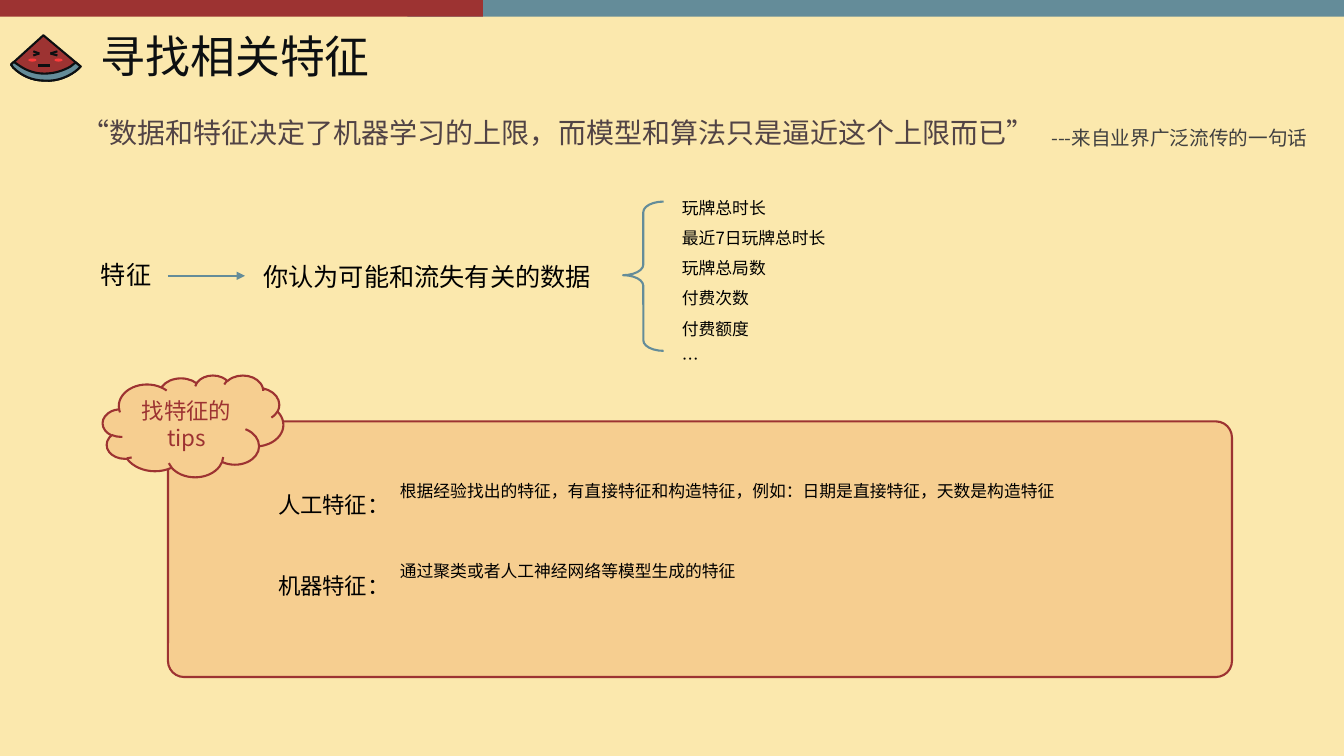
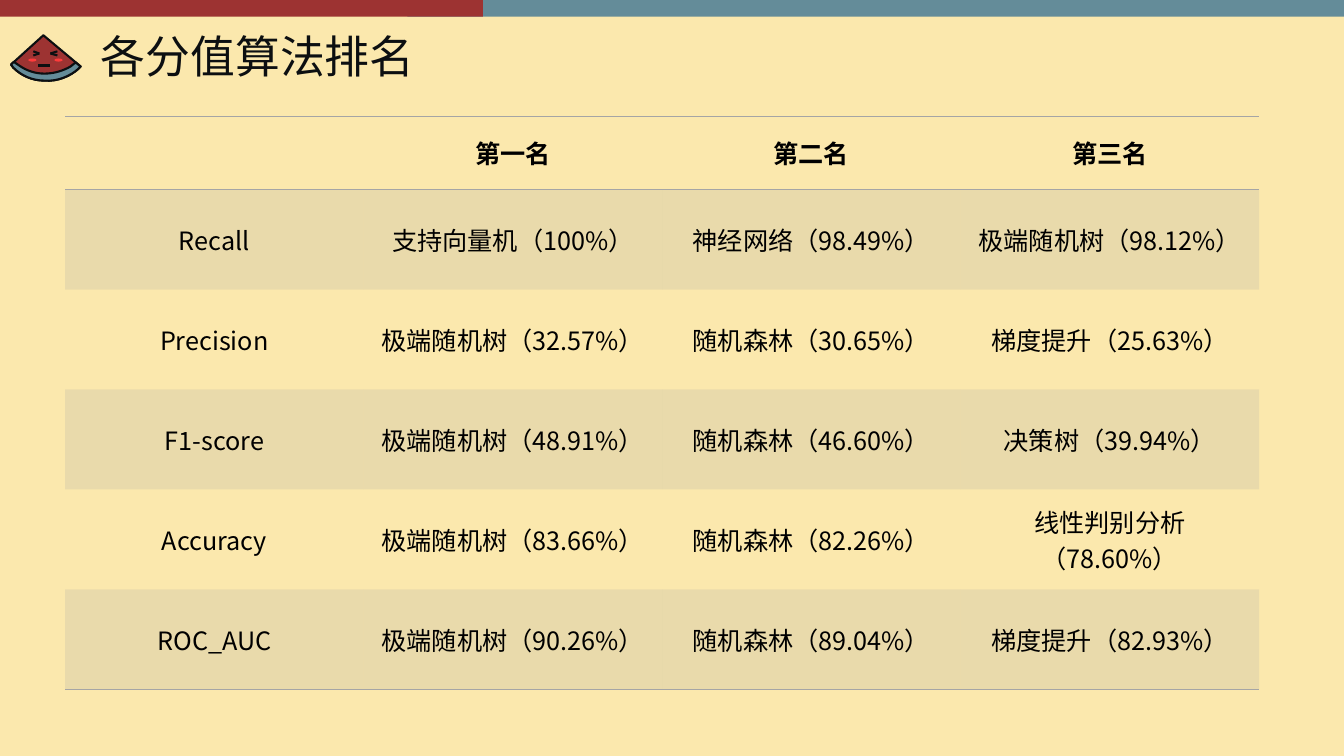
from dataclasses import dataclass
from math import comb

from lxml.etree import SubElement
from pptx import Presentation
from pptx.dml.color import RGBColor
from pptx.enum.shapes import MSO_CONNECTOR, MSO_SHAPE
from pptx.enum.text import MSO_ANCHOR, PP_ALIGN
from pptx.oxml.ns import qn
from pptx.util import Pt


@dataclass(frozen=True)
class Theme:
    font: str = "Noto Sans CJK SC"
    background: RGBColor = RGBColor.from_string("FBE8AD")
    red: RGBColor = RGBColor.from_string("9D3332")
    teal: RGBColor = RGBColor.from_string("648C99")
    cheek: RGBColor = RGBColor.from_string("FF3B3B")
    ink: RGBColor = RGBColor.from_string("0C0F11")
    black: RGBColor = RGBColor.from_string("000000")
    quote: RGBColor = RGBColor.from_string("514345")
    source: RGBColor = RGBColor.from_string("404040")
    panel: RGBColor = RGBColor.from_string("F6CE90")
    gray: RGBColor = RGBColor.from_string("A5A5A5")
    title_size: int = 32
    quote_size: int = 20
    lead_size: int = 18
    label_size: int = 16
    source_size: int = 14
    small_size: int = 12
    line_width: float = 1.5


theme = Theme()


def add_text(target, text, box=None, size=theme.lead_size, color=theme.black,
             bold=False, align=PP_ALIGN.LEFT, anchor=None, spacing=None):
    if box:
        target = target.shapes.add_textbox(*map(Pt, box))
    tf = target.text_frame
    tf.word_wrap = True
    if anchor is not None:
        tf.vertical_anchor = anchor
    for i, line in enumerate(text.split("\n")):
        p = tf.add_paragraph() if i else tf.paragraphs[0]
        p.alignment = align
        p.line_spacing = spacing
        r = p.add_run()
        r.text = line
        r.font.size = Pt(size)
        r.font.bold = bold
        r.font.name = theme.font
        r.font.color.rgb = color
        SubElement(r.font._element, qn("a:ea"), typeface=theme.font)


def style(sp, fill=None, line=None):
    if fill is not None:
        sp.fill.solid()
        sp.fill.fore_color.rgb = fill
    elif hasattr(sp, "fill"):
        sp.fill.background()
    if line is not None:
        sp.line.color.rgb = line
        sp.line.width = Pt(theme.line_width)
    else:
        sp.line.fill.background()
    SubElement(sp.element.spPr, qn("a:effectLst"))
    return sp


prs = Presentation()
prs.slide_width, prs.slide_height = Pt(960), Pt(540)

melon_base = [
    (57.6, 47.5), (56.2, 49),
    (49.7, 54.7, 41, 58.3, 31.7, 57.6),
    (23, 57.6, 15.1, 54, 9.4, 48.2),
    (7.9, 46.1),
]
rind_top = [
    (13.7, 46.8),
    (18.7, 50.4, 25.2, 52.6, 31.7, 52.6),
    (38.9, 52.6, 45.4, 50.4, 50.4, 47.5),
    (54, 44.6),
]
melon_parts = [
    ((31, 25.2), melon_base, theme.red),
    ((9.9, 44.2), rind_top + melon_base, theme.teal),
]
face_lines = [
    (27.4, 46.8, 36, 46.8),
    (23.8, 36.7, 28.1, 38.2),
    (23.8, 39.6, 28.1, 38.2),
    (41, 39.6, 36, 38.2),
    (41, 36.7, 36, 38.2),
]

slides = []
for title in ("寻找相关特征", "各分值算法排名"):
    s = prs.slides.add_slide(prs.slide_layouts[6])
    slides.append(s)
    s.background.fill.solid()
    s.background.fill.fore_color.rgb = theme.background

    for left, width, color in ((291, 669, theme.teal), (0, 345, theme.red)):
        band = s.shapes.add_shape(MSO_SHAPE.RECTANGLE, Pt(left), 0, Pt(width), Pt(12))
        style(band, color)

    for start, segments, color in melon_parts:
        pen, outline = start, []
        for seg in segments:
            controls = [pen] + list(zip(seg[::2], seg[1::2]))
            n = len(controls) - 1
            steps = 8 if n == 3 else 1
            for step in range(1, steps + 1):
                t = step / steps
                outline.append(tuple(
                    Pt(sum(comb(n, k) * (1 - t) ** (n - k) * t ** k * c[axis]
                           for k, c in enumerate(controls)))
                    for axis in (0, 1)))
            pen = controls[-1]
        builder = s.shapes.build_freeform(Pt(start[0]), Pt(start[1]))
        builder.add_line_segments(outline, close=True)
        style(builder.convert_to_shape(), color, theme.ink)

    for left in (20.2, 38.9):
        cheek = s.shapes.add_shape(MSO_SHAPE.OVAL, Pt(left), Pt(41.8), Pt(5.8), Pt(2.2))
        style(cheek, theme.cheek)
    for ends in face_lines:
        stroke = s.shapes.add_connector(MSO_CONNECTOR.STRAIGHT, *map(Pt, ends))
        style(stroke, line=theme.ink)

    add_text(s, title, (65, 12, 895, 60), size=theme.title_size, color=theme.ink,
             anchor=MSO_ANCHOR.MIDDLE, spacing=0.9)

features, ranking = slides

add_text(features, "“数据和特征决定了机器学习的上限，而模型和算法只是逼近这个上限而已”",
         (51, 81.4, 922, 97), size=theme.quote_size, color=theme.quote, spacing=0.9)
add_text(features, "特征", (65, 182, 87, 29))
arrow = features.shapes.add_connector(
    MSO_CONNECTOR.STRAIGHT, Pt(120), Pt(197), Pt(175), Pt(197))
style(arrow, line=theme.teal)
SubElement(arrow.line._get_or_add_ln(), qn("a:tailEnd"), type="triangle")
add_text(features, "你认为可能和流失有关的数据", (181, 183, 312, 29))

brace = features.shapes.add_shape(
    MSO_SHAPE.LEFT_BRACE, Pt(445), Pt(144), Pt(29), Pt(106.6))
brace.adjustments[0], brace.adjustments[1] = 0.26, 0.493
style(brace, line=theme.teal)
add_text(features, "玩牌总时长\n最近7日玩牌总时长\n玩牌总局数\n付费次数\n付费额度\n…",
         (480, 130.3, 312, 138), size=theme.small_size, spacing=1.5)
add_text(features, "---来自业界广泛流传的一句话", (743.8, 86.4, 206, 24.5),
         size=theme.source_size, color=theme.source)

panel = features.shapes.add_shape(
    MSO_SHAPE.ROUNDED_RECTANGLE, Pt(120), Pt(301), Pt(760), Pt(182.6))
panel.adjustments[0] = 0.063
style(panel, theme.panel, theme.red)
add_text(features, "人工特征：\n机器特征：", (191.5, 309, 392, 124),
         size=theme.label_size, spacing=3)

cloud = features.shapes.add_shape(
    MSO_SHAPE.CLOUD, Pt(73.4), Pt(268), Pt(129), Pt(72.7))
style(cloud, theme.panel, theme.red)
add_text(cloud, "找特征的tips", size=theme.label_size, color=theme.red,
         align=PP_ALIGN.CENTER, anchor=MSO_ANCHOR.MIDDLE)

tips = (
    "根据经验找出的特征，有直接特征和构造特征，例如：日期是直接特征，天数是构造特征",
    "通过聚类或者人工神经网络等模型生成的特征",
)
for i, tip in enumerate(tips):
    add_text(features, tip, (278.6, 339.8 + 57 * i, 585, 22), size=theme.small_size)

rows = [
    ("", "第一名", "第二名", "第三名"),
    ("Recall", "支持向量机（100%）", "神经网络（98.49%）", "极端随机树（98.12%）"),
    ("Precision", "极端随机树（32.57%）", "随机森林（30.65%）", "梯度提升（25.63%）"),
    ("F1-score", "极端随机树（48.91%）", "随机森林（46.60%）", "决策树（39.94%）"),
    ("Accuracy", "极端随机树（83.66%）", "随机森林（82.26%）", "线性判别分析（78.60%）"),
    ("ROC_AUC", "极端随机树（90.26%）", "随机森林（89.04%）", "梯度提升（82.93%）"),
]
header_height, row_height = 52.4, 71.43
table = ranking.shapes.add_table(
    len(rows), len(rows[0]), Pt(46.5), Pt(83), Pt(853),
    Pt(header_height + row_height * (len(rows) - 1))).table
table.first_row = table.horz_banding = False
no_style = "{2D5ABB26-0587-4C30-8999-92F81FD0307C}"
table._tbl.tblPr.find(qn("a:tableStyleId")).text = no_style

borders = {0: ("a:lnT", "a:lnB"), len(rows) - 1: ("a:lnB",)}
for i, row in enumerate(rows):
    table.rows[i].height = Pt(row_height if i else header_height)
    for j, text in enumerate(row):
        cell = table.cell(i, j)
        cell.vertical_anchor = MSO_ANCHOR.MIDDLE
        if text:
            add_text(cell, text, bold=i == 0, align=PP_ALIGN.CENTER)
        tcPr = cell._tc.get_or_add_tcPr()
        if i % 2:
            cell.fill.solid()
            cell.fill.fore_color.rgb = theme.gray
            SubElement(tcPr.find(".//" + qn("a:srgbClr")), qn("a:alpha"), val="20000")
        else:
            cell.fill.background()
        for k, side in enumerate(borders.get(i, ())):
            ln = SubElement(tcPr, qn(side), w=str(Pt(1)))
            fill = SubElement(ln, qn("a:solidFill"))
            SubElement(fill, qn("a:srgbClr"), val=str(theme.gray))
            tcPr.insert(k, ln)

prs.save("out.pptx")
